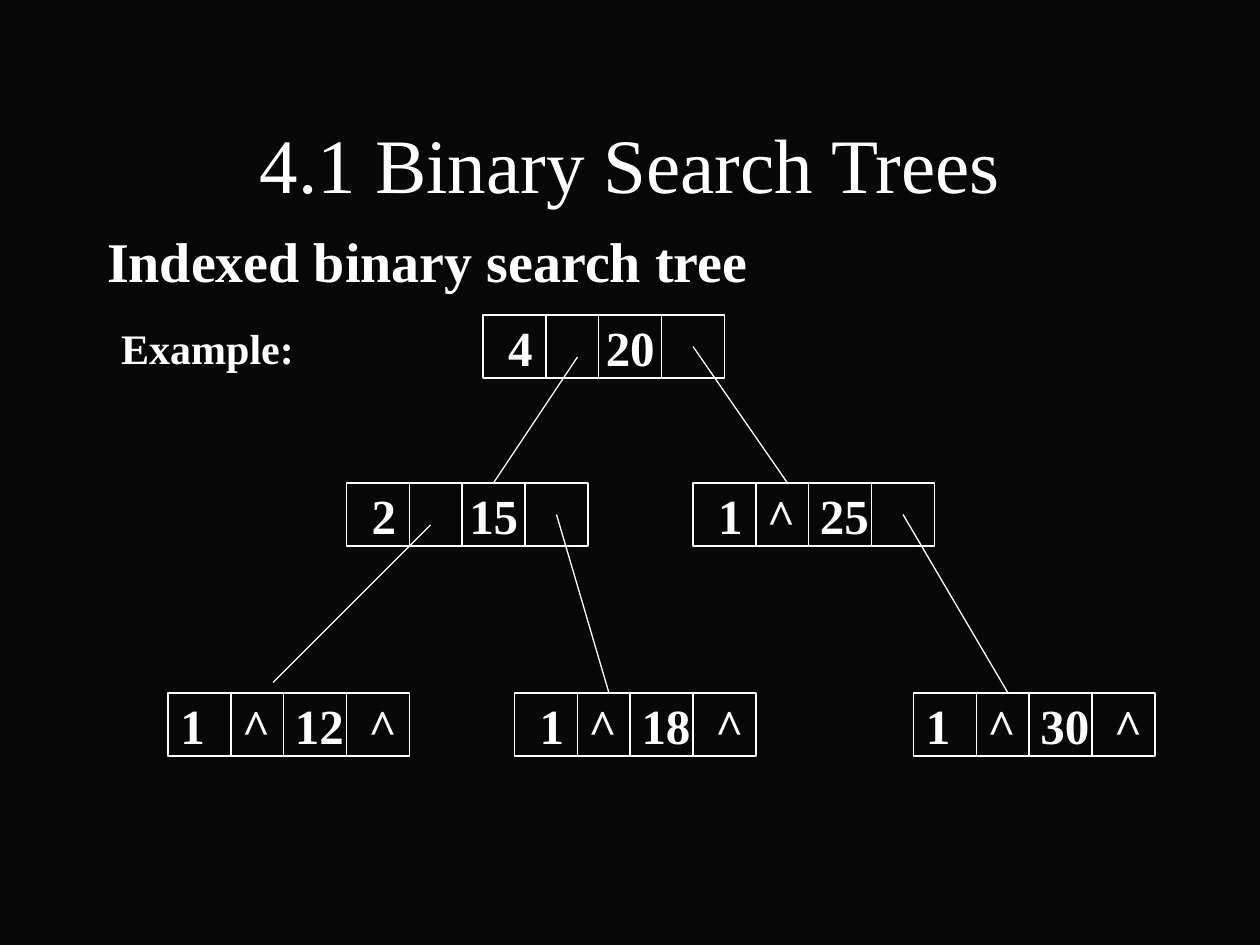
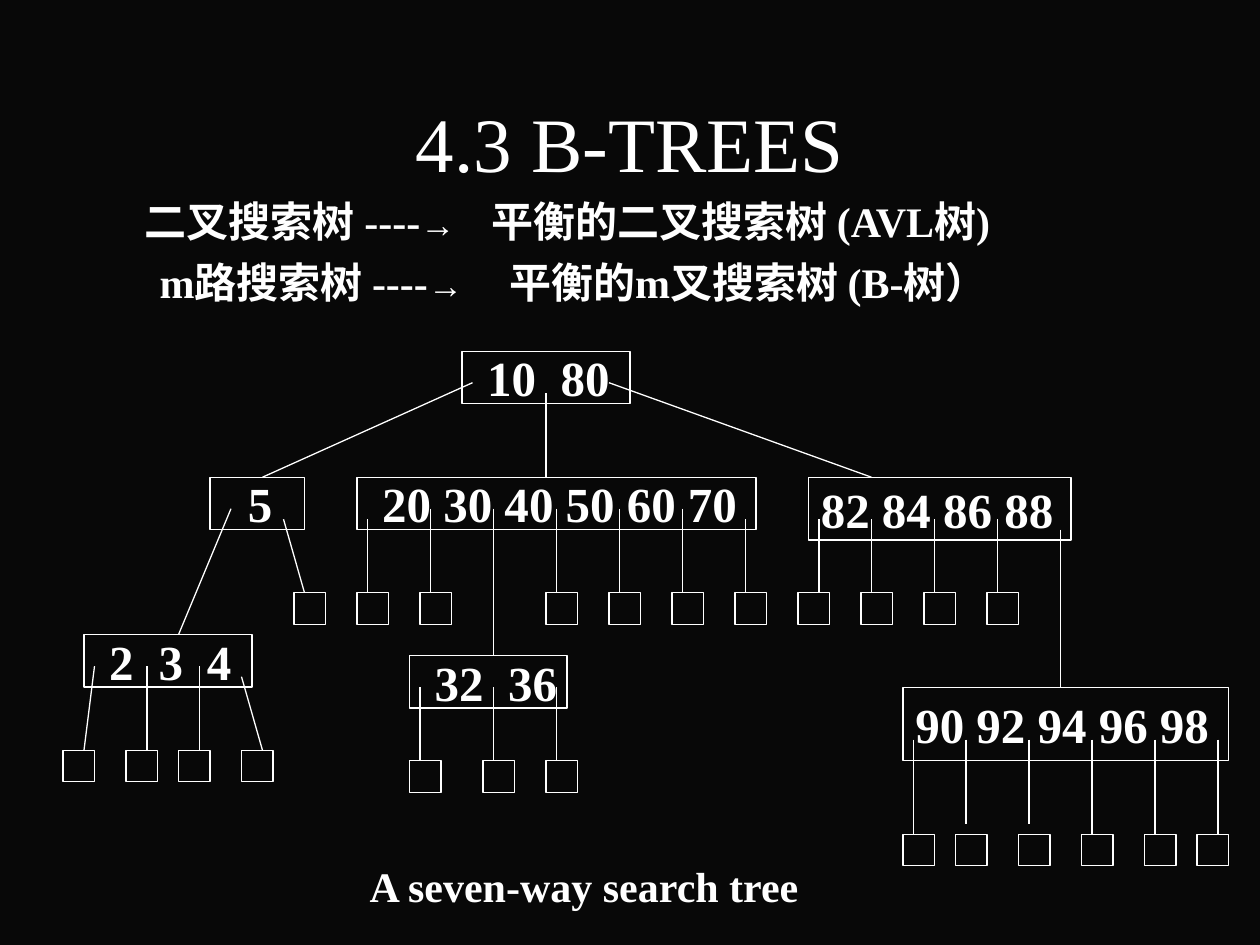
from dataclasses import dataclass

from lxml import etree
from pptx import Presentation
from pptx import util as u
from pptx.dml.color import RGBColor
from pptx.enum import shapes, text
from pptx.oxml import ns


@dataclass(frozen=True)
class Theme:
    back: RGBColor = RGBColor(0x08, 0x08, 0x08)
    ink: RGBColor = RGBColor(0xFF, 0xFF, 0xFF)
    font: str = "Times New Roman"
    sign: str = "Arial"
    title: int = 44
    head: int = 32
    key: int = 28
    body: int = 24
    arrow: int = 20
    line: float = 0.75


def grid(n):
    """Length of n grid steps, twelve to the inch."""
    return u.Cm(n * 2.54 / 12)


class Deck:
    def __init__(self, theme):
        self.theme = theme
        self.prs = Presentation()
        self.prs.slide_width, self.prs.slide_height = u.Cm(25.4), u.Cm(19.05)
        fill = self.prs.slide_master.background.fill
        fill.solid()
        fill.fore_color.rgb = theme.back
        self.slide = None
        self.lift = 0

    def style(self, run, size, bold=True, font=None):
        run.font.size = u.Pt(size)
        run.font.name = font or self.theme.font
        run.font.bold = bold
        run.font.color.rgb = self.theme.ink

    def tabs(self, para, stops):
        props = para._p.get_or_add_pPr()
        tabs = etree.SubElement(props, ns.qn("a:tabLst"))
        for stop in stops:
            etree.SubElement(tabs, ns.qn("a:tab"), pos=str(grid(stop)), algn="l")

    def page(self, title, high, lift=0):
        """Add a slide with its title; lift raises the shapes of its drawing."""
        self.lift = lift
        self.slide = self.prs.slides.add_slide(self.prs.slide_layouts[5])
        box = self.slide.shapes.title
        box.left, box.top, box.width, box.height = map(grid, (9, 8, 102, high))
        frame = box.text_frame
        frame.text = title
        frame.auto_size = text.MSO_AUTO_SIZE.NONE
        frame.vertical_anchor = text.MSO_ANCHOR.MIDDLE
        frame.paragraphs[0].alignment = text.PP_ALIGN.CENTER
        self.style(frame.paragraphs[0].runs[0], self.theme.title, False)

    def label(self, words, x, y, size, wide=90):
        """Add a line of bold text and return its paragraph."""
        box = self.slide.shapes.add_textbox(*map(grid, (x, y, wide, 5)))
        frame = box.text_frame
        frame.word_wrap = True
        frame.margin_left = frame.margin_right = 0
        frame.margin_top = frame.margin_bottom = 0
        frame.text = words
        self.style(frame.paragraphs[0].runs[0], size)
        return frame.paragraphs[0]

    def step(self, start, goal, x, y, stop):
        """Add a line of text that leads by an arrow to a goal."""
        para = self.label(start, x, y, self.theme.body)
        self.tabs(para, [stop])
        for words, size, font in (("→\t", self.theme.arrow, self.theme.sign),
                                  (goal, self.theme.body, None)):
            run = para.add_run()
            run.text = words
            self.style(run, size, font=font)

    def rect(self, x, y, wide, high):
        box = self.slide.shapes.add_shape(
            shapes.MSO_SHAPE.RECTANGLE,
            *map(grid, (x, y - self.lift, wide, high)))
        box.shadow.inherit = False
        box.fill.background()
        box.line.color.rgb = self.theme.ink
        box.line.width = u.Pt(self.theme.line)
        return box

    def node(self, keys, x, y, wide, high, pad=2.4, stops=()):
        """Add a box of keys; pad and stops count from its left side."""
        frame = self.rect(x, y, wide, high).text_frame
        frame.word_wrap = True
        frame.vertical_anchor = text.MSO_ANCHOR.MIDDLE
        frame.margin_left = grid(pad)
        frame.margin_top = frame.margin_right = frame.margin_bottom = 0
        frame.text = keys
        para = frame.paragraphs[0]
        para.alignment = text.PP_ALIGN.LEFT
        if stops:
            self.tabs(para, [stop - pad for stop in stops])
        self.style(para.runs[0], self.theme.key)

    def cells(self, keys, x, y, pad=2.4, key=12.1):
        """Add a node of four fields: size, left link, key, right link."""
        self.node(keys, x, y, 23, 6, pad, (7.05, key, 19.1))
        for split in (6, 11, 17):
            self.edge(x + split, y, x + split, y + 6)

    def edge(self, x1, y1, x2, y2):
        line = self.slide.shapes.add_connector(
            shapes.MSO_CONNECTOR.STRAIGHT,
            *map(grid, (x1, y1 - self.lift, x2, y2 - self.lift)))
        line.line.color.rgb = self.theme.ink
        line.line.width = u.Pt(self.theme.line)
        etree.SubElement(line._element.spPr, ns.qn("a:effectLst"))

    def drops(self, top, end, *spots):
        for x in spots:
            self.edge(x, top, x, end)

    def leaves(self, y, *spots):
        for x in spots:
            self.rect(x, y, 3, 3)


def binary(deck):
    deck.page("4.1 Binary Search Trees", 15)
    deck.label("Indexed binary search tree", 10.2, 21.55, deck.theme.head)
    deck.label("Example:", 11.55, 30.7, deck.theme.body, 30)

    # Nodes, level by level
    deck.cells("4\t\t20", 46, 30, key=11.7)
    deck.cells("2\t\t15", 33, 46, key=11.7)
    deck.cells("1\t^\t25", 66, 46)
    deck.cells("1\t^\t12\t^", 16, 66, 1.2)
    deck.cells("1\t^\t18\t^", 49, 66)
    deck.cells("1\t^\t30\t^", 87, 66, 1.2)

    # Links from parent to child
    for ends in ((55, 34, 47, 46), (66, 33, 75, 46), (41, 50, 26, 65),
                 (53, 49, 58, 66), (86, 49, 96, 66)):
        deck.edge(*ends)


def btree(deck):
    deck.page("4.3 B-TREES", 11, 0.05)
    deck.step("二叉搜索树 ----", "平衡的二叉搜索树 (AVL树)", 13.8, 18.6, 33)
    deck.step("m路搜索树 ----", "平衡的m叉搜索树 (B-树）", 15.2, 24.4, 33.3)

    # Nodes, level by level
    deck.node("10\t80", 44, 33.5, 16, 5, stops=[9.4])
    deck.node("5", 20, 45.5, 9, 5, 3.6)
    deck.node("20 30 40 50 60 70", 34, 45.5, 38, 5)
    deck.node("82 84 86 88", 77, 45.5, 25, 6, 1.2)
    deck.node("2\t3\t4", 8, 60.5, 16, 5, stops=[7.1, 11.7])
    deck.node("32\t36", 39, 62.5, 15, 5, stops=[9.4])
    deck.node("90 92 94 96 98", 86, 65.5, 31, 7, 1.2)

    # Empty leaves; the third link of the middle node leads to a node
    deck.leaves(56.5, *(x for x in range(28, 95, 6) if x != 46))
    deck.leaves(71.5, 6, 12, 17, 23)
    deck.leaves(72.5, 39, 46, 52)
    deck.leaves(79.5, 86, 91, 97, 103, 109, 114)

    # Slanted links
    for ends in ((45, 36.5, 25, 45.5), (58, 36.5, 83, 45.5),
                 (22, 48.5, 17, 60.5), (27, 49.5, 29, 56.5),
                 (9, 63.5, 8, 71.5), (23, 64.5, 25, 71.5)):
        deck.edge(*ends)

    # Upright links
    deck.drops(37.5, 45.5, 52)
    deck.drops(49.5, 56.5, 35, 71, 78, 83, 89, 95)
    deck.drops(48.5, 56.5, 41, 53, 59, 65)
    deck.drops(48.5, 62.5, 47)
    deck.drops(50.5, 65.5, 101)
    deck.drops(63.5, 71.5, 14, 19)
    deck.drops(65.5, 72.5, 40, 47, 53)
    deck.drops(70.5, 79.5, 87, 104, 110, 116)
    deck.drops(70.5, 78.5, 92, 98)

    deck.label("A seven-way search tree", 35.2, 82, deck.theme.body, 44)


def main():
    deck = Deck(Theme())
    binary(deck)
    btree(deck)
    deck.prs.save("out.pptx")


if __name__ == "__main__":
    main()
